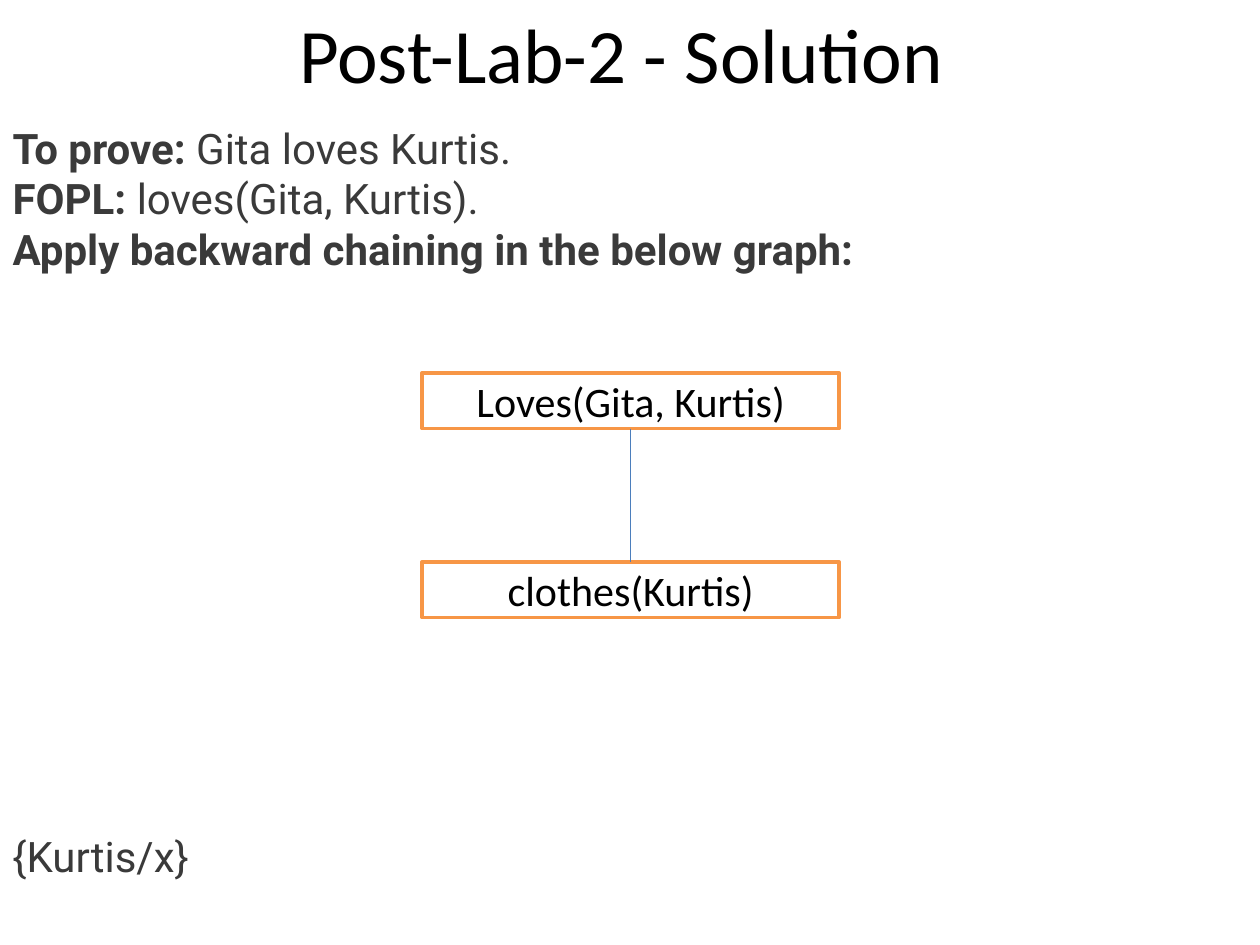
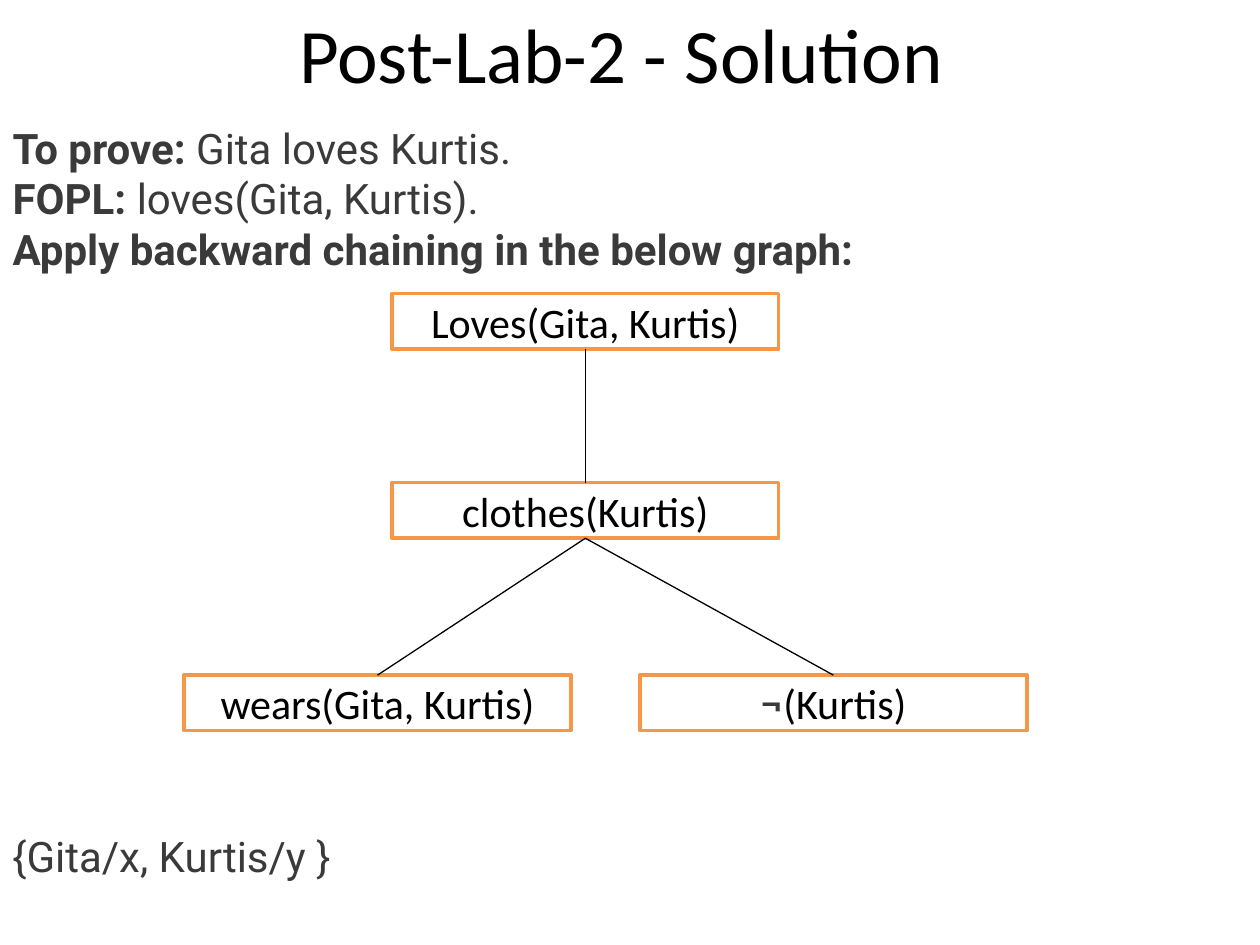
from dataclasses import dataclass, field

import lxml.etree
import pptx
import pptx.dml.color
import pptx.enum.shapes
import pptx.enum.text
import pptx.oxml.ns
import pptx.util

Cm = pptx.util.Cm
Pt = pptx.util.Pt
Anchor = pptx.enum.text.MSO_ANCHOR
Align = pptx.enum.text.PP_ALIGN


def color(code):
    return pptx.dml.color.RGBColor.from_string(code)


def text_style(name, size, code, bold=False):
    return {"font": {"name": name, "size": Pt(size), "bold": bold}, "color": color(code)}


@dataclass(frozen=True)
class Theme:
    paper: object = color("FFFFFF")
    node_border: object = color("F79646")
    blue_line: object = color("4B7EBC")
    black_line: object = color("000000")
    border_width: object = Pt(2)
    connector_width: object = Pt(0.75)
    styles: dict = field(default_factory=lambda: {
        "title": text_style("Calibri", 44, "000000"),
        "strong": text_style("Roboto", 24, "3A3A3A", True),
        "plain": text_style("Roboto", 24, "3A3A3A"),
        "node": text_style("Calibri", 24, "000000"),
    })


THEME = Theme()
SLIDE_WIDTH = 25.4
NODE_HEIGHT = 1.12
TITLE = "Post-Lab-2 - Solution "
GOAL = [
    [("To prove: ", "strong"), ("Gita loves Kurtis.", "plain")],
    [("FOPL: ", "strong"), ("loves(Gita, Kurtis).", "plain")],
    [("Apply backward chaining in the below graph: ", "strong")],
]


def set_values(target, values):
    for name, value in values.items():
        setattr(target, name, value)


def place(shape, left, top, width, height):
    set_values(shape, {"left": Cm(left), "top": Cm(top), "width": Cm(width), "height": Cm(height)})


def remove_bullet(paragraph):
    properties = paragraph._p.get_or_add_pPr()
    properties.set("marL", "0")
    properties.set("indent", "0")
    lxml.etree.SubElement(properties, pptx.oxml.ns.qn("a:buNone"))


def write_text(shape, lines, alignment=Align.LEFT, anchor=Anchor.MIDDLE):
    frame = shape.text_frame
    set_values(frame, {
        "auto_size": pptx.enum.text.MSO_AUTO_SIZE.NONE,
        "word_wrap": True,
        "vertical_anchor": anchor,
    })
    for index, runs in enumerate(lines):
        paragraph = frame.add_paragraph() if index else frame.paragraphs[0]
        remove_bullet(paragraph)
        set_values(paragraph, {"alignment": alignment, "space_before": Pt(0)})
        for text, style_name in runs:
            style = THEME.styles[style_name]
            run = paragraph.add_run()
            run.text = text
            set_values(run.font, style["font"])
            run.font.color.rgb = style["color"]


def add_box(slide, position, runs, alignment=Align.LEFT, border=None):
    shape = slide.shapes.add_shape(
        pptx.enum.shapes.MSO_SHAPE.RECTANGLE, *(Cm(value) for value in position))
    shape.shadow.inherit = False
    shape.fill.solid()
    shape.fill.fore_color.rgb = THEME.paper
    if border is None:
        shape.line.fill.background()
    else:
        shape.line.color.rgb = border
        shape.line.width = THEME.border_width
    write_text(shape, [runs], alignment)
    return shape


def add_branch(slide, parent, child, line_color):
    connector = slide.shapes.add_connector(
        pptx.enum.shapes.MSO_CONNECTOR.STRAIGHT, 0, 0, 0, 0)
    connector.begin_connect(parent, 2)
    connector.end_connect(child, 0)
    connector.line.color.rgb = line_color
    connector.line.width = THEME.connector_width
    lxml.etree.SubElement(connector._element.spPr, pptx.oxml.ns.qn("a:effectLst"))


def add_proof_slide(presentation, substitution):
    slide = presentation.slides.add_slide(presentation.slide_layouts[1])
    title, goal = slide.shapes.title, slide.placeholders[1]
    place(title, 0, 0, SLIDE_WIDTH, 2.13)
    write_text(title, [[(TITLE, "title")]], Align.CENTER, Anchor.TOP)
    place(goal, 0, 2.34, SLIDE_WIDTH, 4.37)
    write_text(goal, GOAL, anchor=Anchor.TOP)
    add_box(slide, (0, 16.61, SLIDE_WIDTH, 1.27), [(substitution, "plain")])
    return slide


def add_tree(slide, node_width, nodes, branches, line_color):
    boxes = {
        name: add_box(slide, (left, top, node_width, NODE_HEIGHT), runs,
                      Align.CENTER, THEME.node_border)
        for name, (left, top, runs) in nodes.items()
    }
    for parent, child in branches:
        add_branch(slide, boxes[parent], boxes[child], line_color)


def main():
    presentation = pptx.Presentation()
    set_values(presentation, {"slide_width": Cm(SLIDE_WIDTH), "slide_height": Cm(19.05)})
    loves = [("Loves(Gita, Kurtis)", "node")]
    clothes = [("clothes(Kurtis)", "node")]

    first_step = add_proof_slide(presentation, "{Kurtis/x}")
    add_tree(first_step, 8.41, {
        "loves": (8.51, 7.52, loves),
        "clothes": (8.51, 11.33, clothes),
    }, [("loves", "clothes")], THEME.blue_line)

    second_step = add_proof_slide(presentation, "{Gita/x, Kurtis/y }")
    add_tree(second_step, 7.8, {
        "loves": (7.9, 5.92, loves),
        "clothes": (7.9, 9.73, clothes),
        "wears": (3.71, 13.61, [("wears(Gita, Kurtis)", "node")]),
        "negation": (12.9, 13.61, [("¬", "strong"), ("(Kurtis)", "node")]),
    }, [("loves", "clothes"), ("clothes", "wears"), ("clothes", "negation")],
        THEME.black_line)

    presentation.save("out.pptx")


if __name__ == "__main__":
    main()
